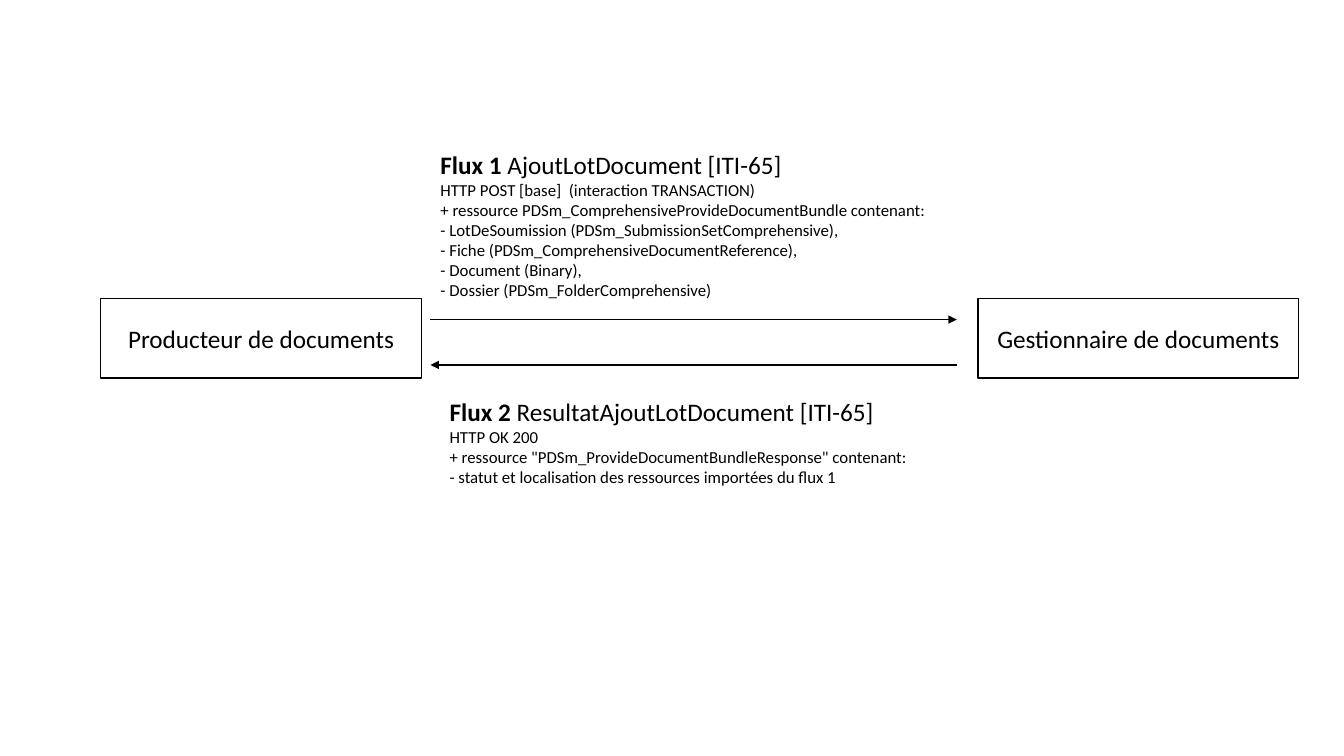
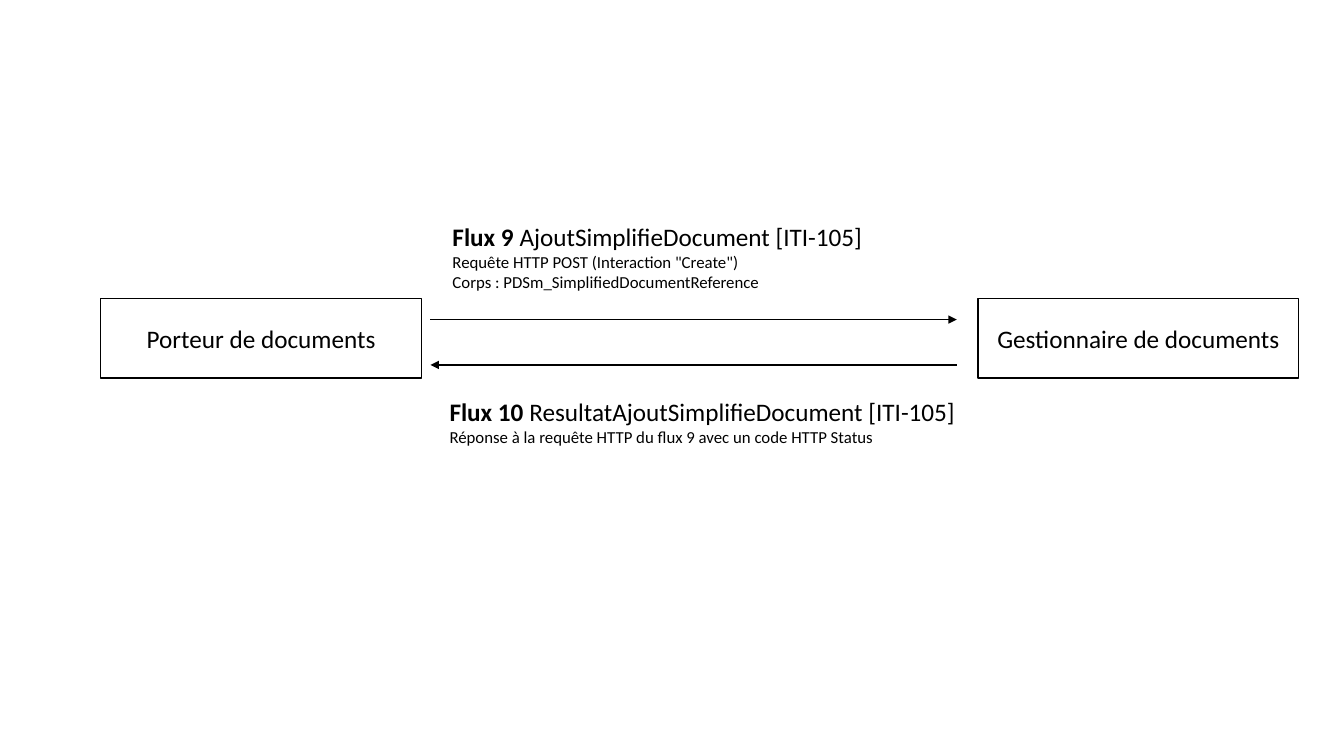
import pptx
import pptx.dml.color
import pptx.enum.shapes
import pptx.enum.text
import pptx.oxml
import pptx.oxml.ns
import pptx.util

# Shared style and layout; positions are percentages of the slide's size
FONT = "Calibri"
INK, PAPER = "000000", "FFFFFF"
HEADING_SIZE, DETAIL_SIZE = 18, 12
SENDER_LEFT, RECEIVER_LEFT = 7.5, 72.77
ACTOR_TOP, ACTOR_WIDTH, ACTOR_HEIGHT = 39.47, 23.86, 10.53
ARROW_LEFT, ARROW_RIGHT = 32.03, 71.19
REQUEST_Y, RESPONSE_Y = 42.27, 48.27
RESPONSE_LEFT, RESPONSE_TOP = 32.71, 51.73


def color(value):
    return pptx.dml.color.RGBColor.from_string(value)


class Diagram:
    def __init__(self):
        self.deck = pptx.Presentation()
        self.deck.slide_width = pptx.util.Inches(13.33)
        self.deck.slide_height = pptx.util.Inches(7.5)
        self.slide = None

    def new_slide(self):
        blank = self.deck.slide_layouts.get_by_name("Blank")
        self.slide = self.deck.slides.add_slide(blank)
        self.slide.background.fill.solid()
        self.slide.background.fill.fore_color.rgb = color(PAPER)

    def x(self, percent):
        return round(self.deck.slide_width * percent / 100)

    def y(self, percent):
        return round(self.deck.slide_height * percent / 100)

    def box(self, left, top, width, height):
        return self.x(left), self.y(top), self.x(width), self.y(height)

    def outline(self, line):
        line.color.rgb = color(INK)
        line.width = pptx.util.Pt(1)

    def style(self, paragraph, size):
        paragraph.font.name = FONT
        paragraph.font.size = pptx.util.Pt(size)
        paragraph.font.color.rgb = color(INK)

    def actor(self, name, left):
        actor = self.slide.shapes.add_shape(
            pptx.enum.shapes.MSO_SHAPE.RECTANGLE,
            *self.box(left, ACTOR_TOP, ACTOR_WIDTH, ACTOR_HEIGHT))
        actor.shadow.inherit = False
        actor.fill.solid()
        actor.fill.fore_color.rgb = color(PAPER)
        self.outline(actor.line)
        actor.text_frame.vertical_anchor = pptx.enum.text.MSO_ANCHOR.MIDDLE
        label = actor.text_frame.paragraphs[0]
        label.text = name
        label.alignment = pptx.enum.text.PP_ALIGN.CENTER
        self.style(label, HEADING_SIZE)

    def arrow(self, start, end, height):
        arrow = self.slide.shapes.add_connector(
            pptx.enum.shapes.MSO_CONNECTOR.STRAIGHT,
            self.x(start), self.y(height), self.x(end), self.y(height))
        self.outline(arrow.line)
        head = pptx.oxml.parse_xml(
            f'<a:tailEnd {pptx.oxml.ns.nsdecls("a")} type="triangle"/>')
        arrow.line._get_or_add_ln().append(head)
        no_shadow = pptx.oxml.parse_xml(
            f'<a:effectLst {pptx.oxml.ns.nsdecls("a")}/>')
        arrow._element.spPr.append(no_shadow)

    def flow(self, number, name, details, left, top, width, height):
        frame = self.slide.shapes.add_textbox(
            *self.box(left, top, width, height)).text_frame
        frame.word_wrap = False
        frame.auto_size = pptx.enum.text.MSO_AUTO_SIZE.SHAPE_TO_FIT_TEXT
        heading = frame.paragraphs[0]
        self.style(heading, HEADING_SIZE)
        flow_number = heading.add_run()
        flow_number.text = f"Flux {number} "
        flow_number.font.bold = True
        heading.add_run().text = name
        for detail in details:
            paragraph = frame.add_paragraph()
            paragraph.text = detail
            self.style(paragraph, DETAIL_SIZE)

    def exchange(self, sender, request, response):
        self.new_slide()
        self.actor(sender, SENDER_LEFT)
        self.actor("Gestionnaire de documents", RECEIVER_LEFT)
        self.flow(*request)
        self.arrow(ARROW_LEFT, ARROW_RIGHT, REQUEST_Y)
        self.arrow(ARROW_RIGHT, ARROW_LEFT, RESPONSE_Y)
        self.flow(*response)


diagram = Diagram()

# Submission of a document set
diagram.exchange(
    "Producteur de documents",
    (1, "AjoutLotDocument [ITI-65]",
     ["HTTP POST [base]  (interaction TRANSACTION)",
      "+ ressource PDSm_ComprehensiveProvideDocumentBundle contenant:",
      "- LotDeSoumission (PDSm_SubmissionSetComprehensive),",
      "- Fiche (PDSm_ComprehensiveDocumentReference),",
      "- Document (Binary),",
      "- Dossier (PDSm_FolderComprehensive)"],
     ARROW_LEFT, 19.07, 37.96, 21.6),
    (2, "ResultatAjoutLotDocument [ITI-65]",
     ["HTTP OK 200",
      '+ ressource "PDSm_ProvideDocumentBundleResponse" contenant:',
      "- statut et localisation des ressources importées du flux 1"],
     RESPONSE_LEFT, RESPONSE_TOP, 36.23, 13.47))

# Simplified submission of one document
diagram.exchange(
    "Porteur de documents",
    (9, "AjoutSimplifieDocument [ITI-105]",
     ['Requête HTTP POST (Interaction "Create")',
      "Corps : PDSm_SimplifiedDocumentReference"],
     32.93, 28.67, 32.33, 10.8),
    (10, "ResultatAjoutSimplifieDocument [ITI-105]",
     ["Réponse à la requête HTTP du flux 9 avec un code HTTP Status"],
     RESPONSE_LEFT, RESPONSE_TOP, 39.53, 8.13))

diagram.deck.save("out.pptx")
